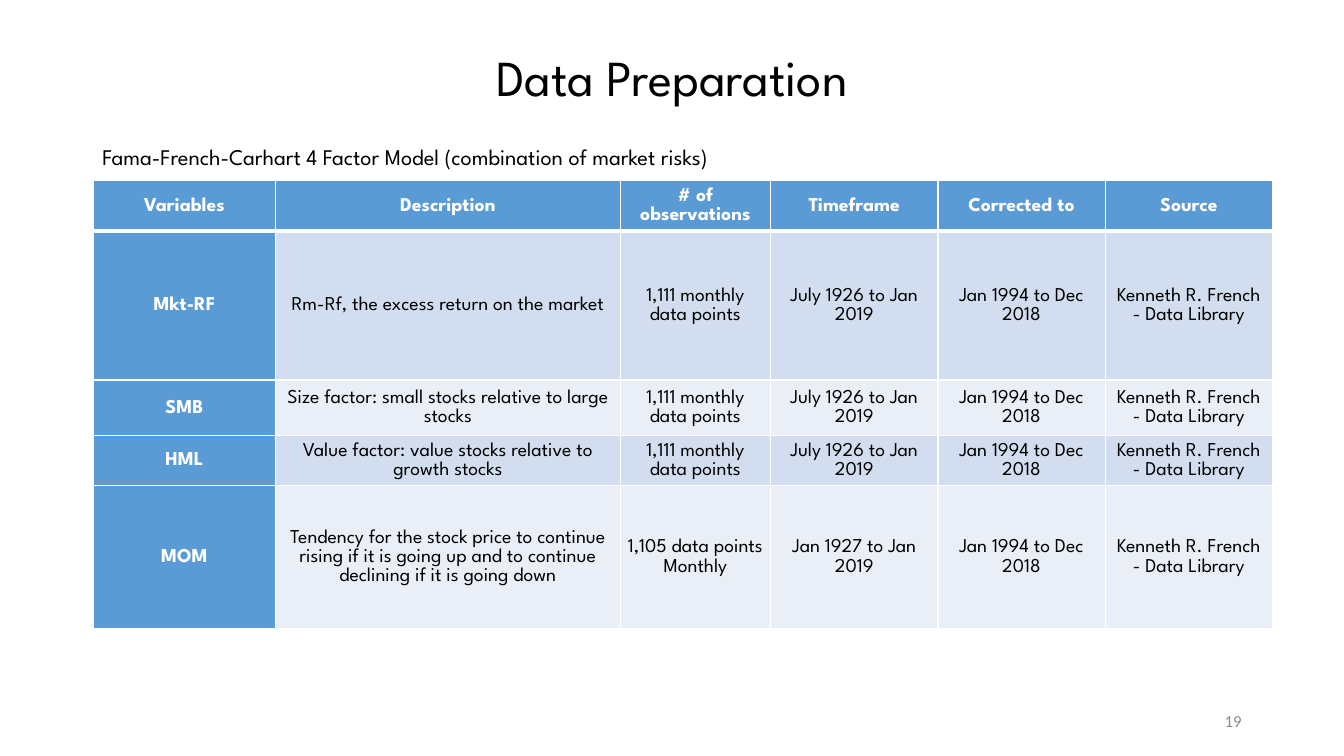
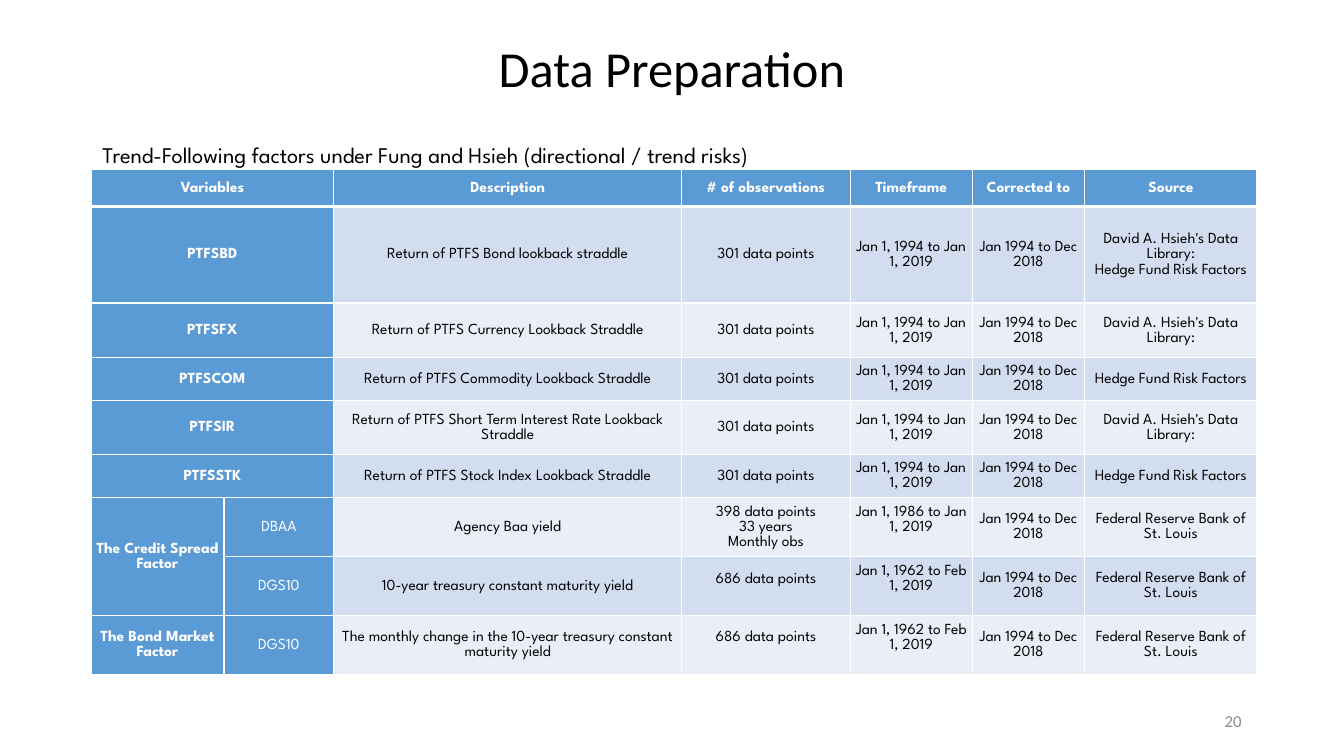
from lxml.etree import SubElement
from pptx import Presentation
from pptx.dml.color import RGBColor
from pptx.enum.text import MSO_ANCHOR, MSO_AUTO_SIZE, PP_ALIGN
from pptx.oxml.ns import qn
from pptx.util import Pt

BLACK = RGBColor(0x00, 0x00, 0x00)
WHITE = RGBColor(0xFF, 0xFF, 0xFF)
GRAY = RGBColor(0x8C, 0x8C, 0x8C)
BLUE = RGBColor(0x5B, 0x9B, 0xD5)
BANDS = [RGBColor(0xEA, 0xEF, 0xF7), RGBColor(0xD2, 0xDE, 0xEF)]
SPARTAN = "League Spartan"
CALIBRI = "Calibri"
FIRST_NUMBER = 19


def write(frame, text, size=16, font=SPARTAN, color=BLACK, bold=False,
          align=PP_ALIGN.LEFT, spacing=1.0):
    frame.word_wrap = True
    frame.vertical_anchor = MSO_ANCHOR.MIDDLE
    for index, line in enumerate(text.split("\n")):
        paragraph = frame.add_paragraph() if index else frame.paragraphs[0]
        paragraph.alignment = align
        paragraph.line_spacing = spacing
        run = paragraph.add_run()
        run.text = line
        run.font.size = Pt(size)
        run.font.name = font
        run.font.bold = bold
        run.font.color.rgb = color


def set_borders(cell, top, bottom):
    properties = cell._tc.get_or_add_tcPr()
    for side, width in (("L", 1), ("R", 1), ("T", top), ("B", bottom)):
        line = SubElement(properties, qn(f"a:ln{side}"), w=str(Pt(width)))
        fill = SubElement(line, qn("a:solidFill"))
        SubElement(fill, qn("a:srgbClr"), val=str(WHITE))


HEADINGS = ["Description", "# of observations", "Timeframe", "Corrected to", "Source"]
CORRECTED = "Jan 1994 to Dec 2018"
FRENCH = "Kenneth R. French - Data Library"
HSIEH = "David A. Hsieh's Data Library:"
HEDGE = "Hedge Fund Risk Factors"
RESERVE = "Federal Reserve Bank of St. Louis"
MONTHLY = "1,111 monthly data points"
SINCE_1926 = "July 1926 to Jan 2019"
SINCE_1994 = "Jan 1, 1994 to Jan 1, 2019"
SINCE_1962 = "Jan 1, 1962 to Feb 1, 2019"

market_rows = [
    ["Variables", *HEADINGS],
    ["Mkt-RF", "Rm-Rf, the excess return on the market",
     MONTHLY, SINCE_1926, CORRECTED, FRENCH],
    ["SMB", "Size factor: small stocks relative to large stocks",
     MONTHLY, SINCE_1926, CORRECTED, FRENCH],
    ["HML", "Value factor: value stocks relative to growth stocks",
     MONTHLY, SINCE_1926, CORRECTED, FRENCH],
    ["MOM", "Tendency for the stock price to continue rising if it is going up "
     "and to continue declining if it is going down",
     "1,105 data points\nMonthly", "Jan 1927 to Jan 2019", CORRECTED, FRENCH],
]

trend_rows = [["Variables", None, *HEADINGS]]
for factor, straddle, library in [
    ("PTFSBD", "Bond lookback straddle", f"{HSIEH}\n{HEDGE}"),
    ("PTFSFX", "Currency Lookback Straddle", HSIEH),
    ("PTFSCOM", "Commodity Lookback Straddle", HEDGE),
    ("PTFSIR", "Short Term Interest Rate Lookback Straddle", HSIEH),
    ("PTFSSTK", "Stock Index Lookback Straddle", HEDGE),
]:
    trend_rows.append([factor, None, f"Return of PTFS {straddle}",
                       "301 data points", SINCE_1994, CORRECTED, library])
trend_rows += [
    ["The Credit Spread Factor", "DBAA", "Agency Baa yield",
     "398 data points\n33 years\nMonthly obs", "Jan 1, 1986 to Jan 1, 2019",
     CORRECTED, RESERVE],
    [None, "DGS10", "10-year treasury constant maturity yield",
     "686 data points", SINCE_1962, CORRECTED, RESERVE],
    ["The Bond Market Factor", "DGS10",
     "The monthly change in the 10-year treasury constant maturity yield",
     "686 data points", SINCE_1962, CORRECTED, RESERVE],
]

factor_slides = [
    dict(title_top=18.5, title_font=SPARTAN, caption_top=98.5,
         caption="Fama-French-Carhart 4 Factor Model (combination of market risks)",
         left=66.5, top=129, rows=market_rows, label_columns=1, size=14, margin=4.9,
         widths=[130.5, 246, 107.5, 119.5, 119.5, 119.5],
         heights=[35.5, 106.5, 39.5, 36, 102], raised=set()),
    dict(title_top=11.5, title_font=CALIBRI, caption_top=97,
         caption="Trend-Following factors under Fung and Hsieh (directional / trend risks)",
         left=65, top=121, rows=trend_rows, label_columns=2, size=11, margin=0.75,
         widths=[95, 78.5, 248.5, 120.5, 87, 80.5, 123],
         heights=[26.5, 69, 39, 30.5, 39, 30.5, 42, 42, 42],
         raised={(6, 4), (7, 3), (7, 4), (8, 3), (8, 4)}),
]

prs = Presentation()
prs.slide_width = Pt(960)
prs.slide_height = Pt(540)
prs.element.set("firstSlideNum", str(FIRST_NUMBER))

for number, content in enumerate(factor_slides, FIRST_NUMBER):
    slide = prs.slides.add_slide(prs.slide_layouts[5])

    title = slide.shapes.title
    title.left, title.top = Pt(66), Pt(content["title_top"])
    title.width, title.height = Pt(828), Pt(78)
    title.text_frame.auto_size = MSO_AUTO_SIZE.NONE
    write(title.text_frame, "Data Preparation", size=36, font=content["title_font"],
          align=PP_ALIGN.CENTER, spacing=0.9)

    caption = slide.shapes.add_textbox(Pt(66), Pt(content["caption_top"]), Pt(582), Pt(26.5))
    write(caption.text_frame, content["caption"])

    rows, widths, heights = content["rows"], content["widths"], content["heights"]
    factors = slide.shapes.add_table(
        len(rows), len(widths), Pt(content["left"]), Pt(content["top"]),
        Pt(sum(widths)), Pt(sum(heights))).table
    factors.horz_banding = False
    for column, width in zip(factors.columns, widths):
        column.width = Pt(width)
    for row, height in zip(factors.rows, heights):
        row.height = Pt(height)

    for r, values in enumerate(rows):
        for c, value in enumerate(values):
            cell = factors.cell(r, c)
            is_label = r == 0 or c < content["label_columns"]
            set_borders(cell, top=3 if r == 1 else 1, bottom=3 if r == 0 else 1)
            cell.fill.solid()
            cell.fill.fore_color.rgb = BLUE if is_label else BANDS[r % 2]
            if value is None:
                neighbour = factors.cell(r, c - 1) if c else factors.cell(r - 1, c)
                neighbour.merge(cell)
                continue
            cell.margin_left = cell.margin_right = Pt(content["margin"])
            cell.margin_top = Pt(0)
            cell.margin_bottom = Pt(10.5 if (r, c) in content["raised"] else 0)
            cell.vertical_anchor = MSO_ANCHOR.MIDDLE
            write(cell.text_frame, value, size=content["size"],
                  color=WHITE if is_label else BLACK, bold=r == 0 or c == 0,
                  align=PP_ALIGN.CENTER, spacing=1.07)

    footer = slide.shapes.add_textbox(Pt(678), Pt(500.5), Pt(216), Pt(28.5))
    write(footer.text_frame, str(number), size=12, font=CALIBRI, color=GRAY,
          align=PP_ALIGN.RIGHT)
    number_field = footer.text_frame.paragraphs[0].runs[0]._r
    number_field.tag = qn("a:fld")
    number_field.set("id", "{B6F15528-21DE-4FAA-801E-634DDDAF4B2B}")
    number_field.set("type", "slidenum")

prs.save("out.pptx")
